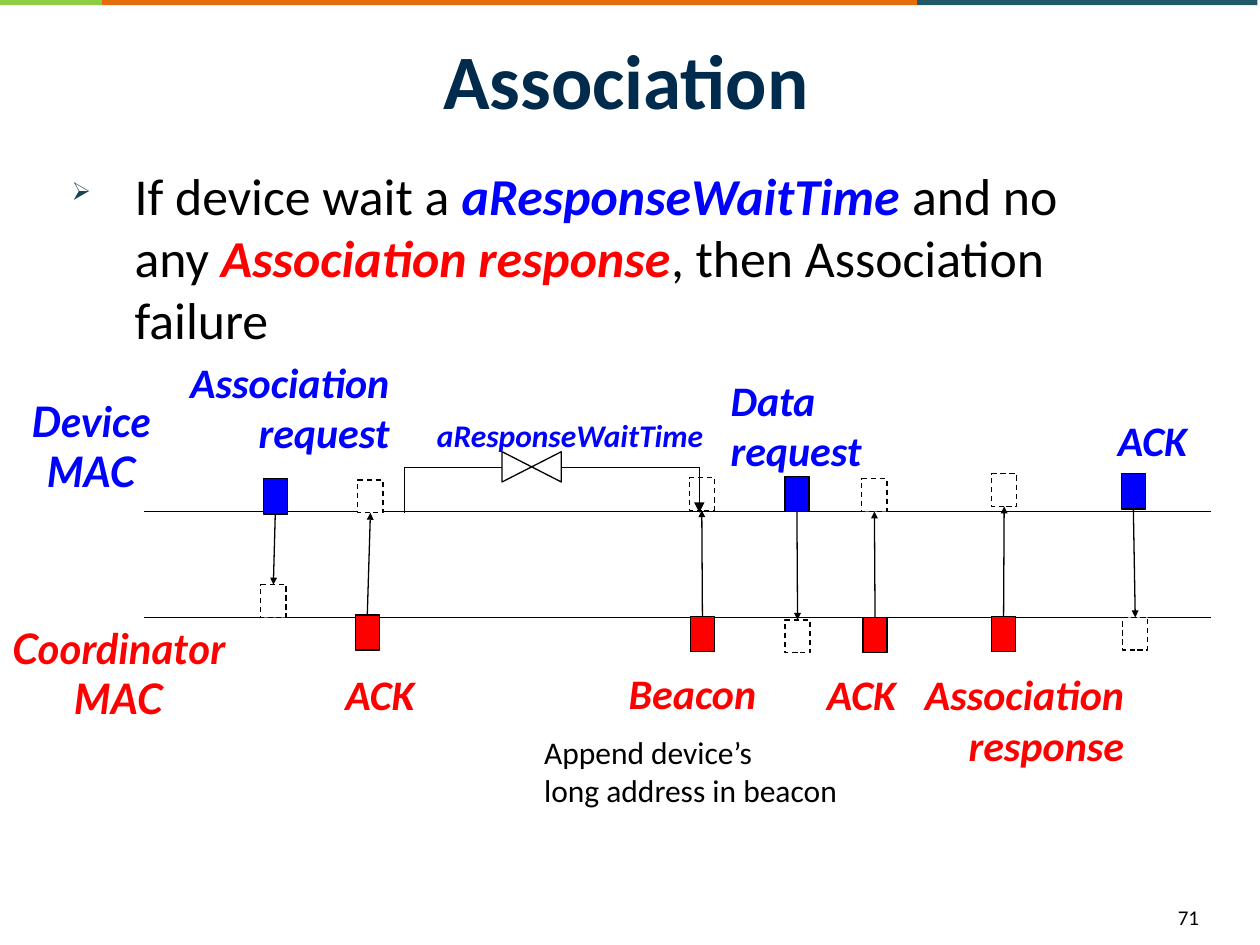
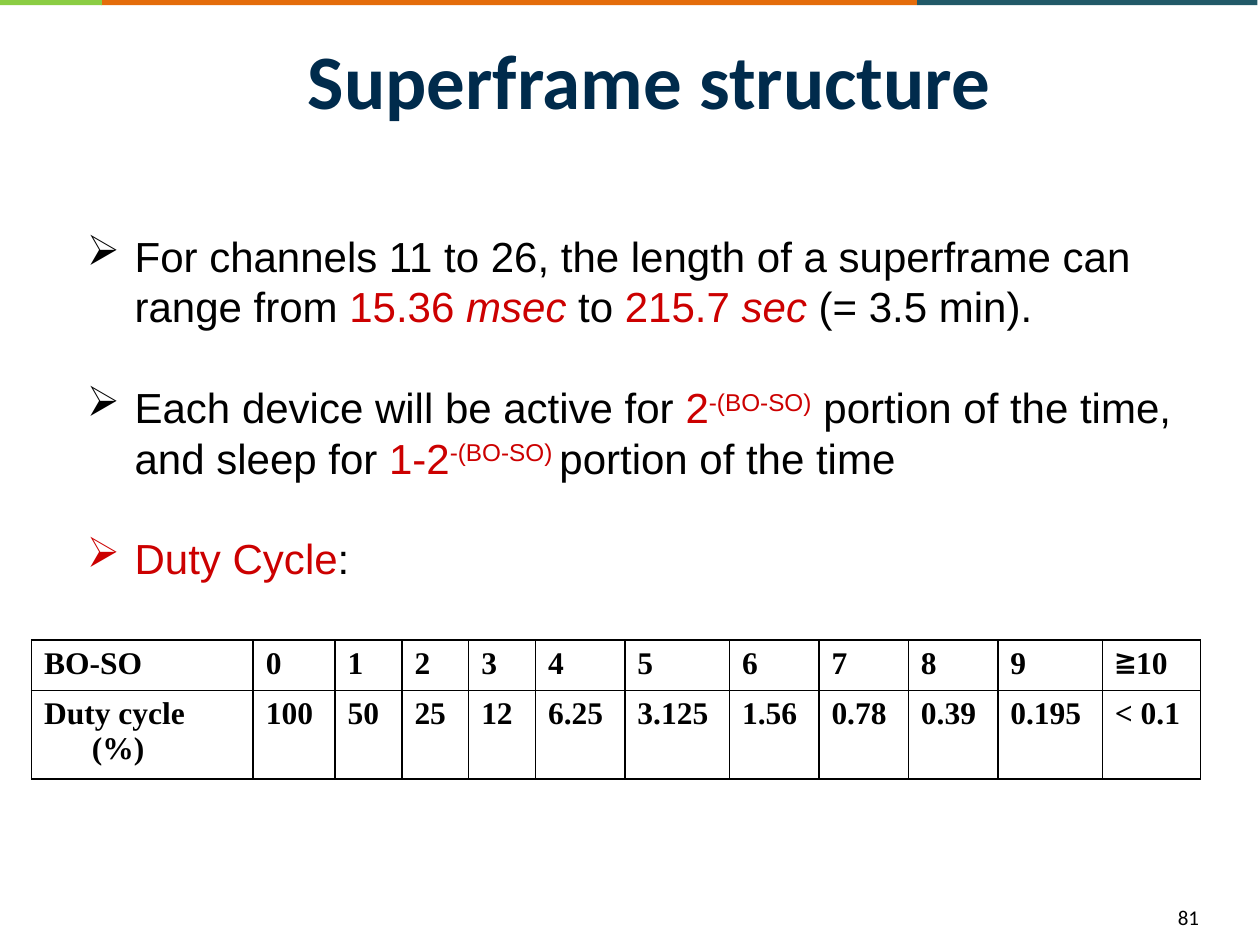
from lxml import etree
from pptx import Presentation
from pptx import util as u
from pptx.dml.color import RGBColor
from pptx.enum import dml, shapes, text
from pptx.oxml.ns import qn

COLORS = {"title": "002B4C", "black": "000000", "white": "FFFFFF",
          "blue": "0000FF", "red": "FF0000", "accent": "CC0000",
          "bullet": "19434F", "orange": "E46C0A", "teal": "215968", "green": "8BCD43"}
RGB = {name: RGBColor.from_string(value) for name, value in COLORS.items()}
ALIGN = {"l": text.PP_ALIGN.LEFT, "c": text.PP_ALIGN.CENTER, "r": text.PP_ALIGN.RIGHT}
BANDS = [(0.8, 6.48, "orange"), (7.28, 2.7, "teal"), (-0.05, 0.86, "green")]


def write(target, paras, box=None, size=24, font="Calibri", color="black", bold=False,
          italic=False, align="l", middle=False, indent=0, bullet=None, spacing=None, gap=0):
    """Fill a text frame, or a new text box on a slide when box is given.

    A paragraph is a string or a list of (text, format changes) runs.
    """
    tf = target
    if box:
        tf = target.shapes.add_textbox(*map(u.Inches, box)).text_frame
        tf.word_wrap = True
    if middle:
        tf.vertical_anchor = text.MSO_ANCHOR.MIDDLE
    for i, runs in enumerate(paras):
        p = tf.add_paragraph() if i else tf.paragraphs[0]
        p.alignment = ALIGN[align]
        pPr = p._p.get_or_add_pPr()
        if indent:
            pPr.set("marL", str(u.Inches(indent)))
            pPr.set("indent", str(-u.Inches(indent)))
        if bullet:
            if "color" in bullet:
                clr = etree.SubElement(pPr, qn("a:buClr"))
                etree.SubElement(clr, qn("a:srgbClr"), val=COLORS[bullet["color"]])
            etree.SubElement(pPr, qn("a:buSzPct"), val=str(bullet["percent"] * 1000))
            etree.SubElement(pPr, qn("a:buChar"), char="➢")
        if spacing:
            p.line_spacing = u.Pt(spacing)
        if i and gap:
            p.space_before = u.Pt(gap)
        for words, change in [(runs, {})] if isinstance(runs, str) else runs:
            r = p.add_run()
            r.text = words
            r.font.size, r.font.name = u.Pt(size), font
            r.font.bold = change.get("bold", bold)
            r.font.italic = change.get("italic", italic)
            r.font.color.rgb = RGB[change.get("color", color)]
            if "raised" in change:
                r._r.get_or_add_rPr().set("baseline", str(change["raised"] * 1000))


def connect(sl, start, end, head=None):
    """Draw a thin black line; an end is an (x, y) point or a (shape, site) pair."""
    joined = not isinstance(start[0], (int, float))
    points = (0, 0, 0, 0) if joined else map(u.Inches, (*start, *end))
    cx = sl.shapes.add_connector(shapes.MSO_CONNECTOR.STRAIGHT, *points)
    if joined:
        cx.begin_connect(*start)
        cx.end_connect(*end)
    cx.line.color.rgb, cx.line.width = RGB["black"], u.Pt(0.75)
    if head:
        etree.SubElement(cx.line._get_or_add_ln(), qn("a:tailEnd"),
                         type="triangle", w=head, len=head)
    etree.SubElement(cx._element.spPr, qn("a:effectLst"))


prs = Presentation()
prs.slide_width, prs.slide_height = u.Inches(10), u.Inches(7.5)

# Bands, title and number on every slide
slides = []
for title, title_width, number in [("Association", 9, "71"),
                                   ("Superframe structure", 9.37, "81")]:
    sl = prs.slides.add_slide(prs.slide_layouts[6])
    for x, width, color in BANDS:
        sp = sl.shapes.add_shape(shapes.MSO_SHAPE.RECTANGLE,
                                 *map(u.Inches, (x, -0.01, width, 0.05)))
        sp.shadow.inherit = False
        sp.fill.solid()
        sp.fill.fore_color.rgb = RGB[color]
        sp.line.fill.background()
    write(sl, [title], (0.47, 0, title_width, 1.25), size=44, color="title",
          bold=True, align="c", middle=True)
    write(sl, [number], (9.25, 7.13, 0.64, 0.4), size=12)
    slides.append(sl)
association, superframe = slides

# Association: rule and message sequence
strong = {"bold": True, "italic": True}
write(association, [[("If device wait a ", {}),
                     ("aResponseWaitTime ", {"color": "blue", **strong}),
                     ("and no any ", {}),
                     ("Association response", {"color": "red", **strong}),
                     (", then Association failure", {})]],
      (0.47, 1.25, 8.44, 1.32), size=29.6, indent=0.5,
      bullet={"color": "bullet", "percent": 48})

for y in (4.06, 4.9):
    connect(association, (1.14, y), (9.61, y))

# Sender colour, sent packet corner, received packet corner
messages = [("blue", (2.09, 3.8), (2.07, 4.64)),
            ("red", (2.82, 4.88), (2.84, 3.81)),
            ("red", (5.48, 4.89), (5.47, 3.79)),
            ("blue", (6.23, 3.78), (6.23, 4.92)),
            ("red", (6.85, 4.9), (6.84, 3.8)),
            ("red", (7.87, 4.89), (7.87, 3.76)),
            ("blue", (8.9, 3.76), (8.91, 4.9))]
for sender, sent_at, received_at in messages:
    packets = []
    for corner, size, color in [(sent_at, (0.19, 0.28), sender),
                                (received_at, (0.2, 0.26), "white")]:
        sp = association.shapes.add_shape(shapes.MSO_SHAPE.RECTANGLE,
                                          *map(u.Inches, corner + size))
        sp.shadow.inherit = False
        sp.fill.solid()
        sp.fill.fore_color.rgb = RGB[color]
        sp.line.color.rgb, sp.line.width = RGB["black"], u.Pt(0.75)
        packets.append(sp)
    sent, received = packets
    received.line.dash_style = dml.MSO_LINE.DASH
    out, into = (2, 0) if sender == "blue" else (0, 2)
    connect(association, (sent, out), (received, into), "sm")

# Waiting time bracket
for start, end, head in [((3.21, 4.07), (3.21, 3.71), None),
                         ((3.21, 3.71), (3.99, 3.71), None),
                         ((4.46, 3.71), (5.55, 3.71), None),
                         ((5.55, 3.71), (5.55, 4.07), "med")]:
    connect(association, start, end, head)
timer = association.shapes.add_shape(shapes.MSO_SHAPE.FLOWCHART_COLLATE,
                                     *map(u.Inches, (4.1, 3.47, 0.24, 0.47)))
timer.rotation = 270
timer.shadow.inherit = False
timer.fill.solid()
timer.fill.fore_color.rgb = RGB["white"]
timer.line.color.rgb, timer.line.width = RGB["black"], u.Pt(0.75)

for paras, box, color, align, font in [
        (["Coordinator MAC"], (-0.12, 4.89, 2.12, 0.91), "red", "c", "Lato"),
        (["Device", "MAC"], (0.1, 3.09, 1.25, 0.91), "blue", "c", "Lato"),
        (["Association request"], (1.16, 2.78, 2.03, 0.91), "blue", "r", "Calibri"),
        (["ACK"], (2.45, 5.26, 0.94, 0.51), "red", "r", "Calibri"),
        (["Data", "request"], (5.7, 2.92, 1.44, 0.91), "blue", "l", "Calibri"),
        (["ACK"], (6.27, 5.26, 0.94, 0.51), "red", "r", "Calibri"),
        (["Association response"], (7.14, 5.26, 1.88, 0.91), "red", "r", "Calibri"),
        (["ACK"], (8.58, 3.24, 0.94, 0.51), "blue", "r", "Calibri"),
        (["Beacon"], (4.69, 5.25, 1.41, 0.5), "red", "r", "Calibri")]:
    write(association, paras, box, color=color, align=align, font=font, **strong)
write(association, ["aResponseWaitTime"], (3.37, 3.25, 3.2, 0.4), size=18,
      color="blue", **strong)
write(association, ["Append device’s", "long address in beacon"],
      (4.22, 5.77, 2.81, 0.71), size=18)

# Superframe structure: facts and duty cycle table
accent = {"color": "accent"}
unit = {**accent, "italic": True}
power = {**accent, "raised": 30}
write(superframe, [
    [("For channels 11 to 26, the length of a superframe can range from ", {}),
     ("15.36 ", accent), ("msec", unit), (" to ", {}),
     ("215.7 ", accent), ("sec", unit), (" (= 3.5 min).", {})],
    [("Each device will be active for ", {}), ("2", accent), ("-(BO-SO)", power),
     (" portion of the time, and sleep for ", {}), ("1-2", accent),
     ("-(BO-SO) ", power), ("portion of the time", {})],
    [("Duty Cycle", accent), (":", {})]],
    (0.59, 1.78, 8.98, 2.93), font="Arial", indent=0.38, bullet={"percent": 100},
    spacing=28.8, gap=28.8)

rows = [["BO-SO", *map(str, range(10)), "≧10"],
        ["Duty cycle (%)", "100", "50", "25", "12", "6.25", "3.125", "1.56",
         "0.78", "0.39", "0.195", "< 0.1"]]
widths = [1.76, 0.65, 0.53, 0.53, 0.53, 0.71, 0.83, 0.71, 0.71, 0.71, 0.83, 0.78]
heights = [0.4, 0.7]
table = superframe.shapes.add_table(
    len(rows), len(widths),
    *map(u.Inches, (0.25, 5.08, sum(widths), sum(heights)))).table
table.first_row = table.horz_banding = False
for column, width in zip(table.columns, widths):
    column.width = u.Inches(width)
for row, height, values in zip(table.rows, heights, rows):
    row.height = u.Inches(height)
    for cell, value in zip(row.cells, values):
        write(cell.text_frame, [value], size=18, font="Times New Roman",
              bold=True, indent=0.38)
        tcPr = cell._tc.get_or_add_tcPr()
        for side in ("a:lnL", "a:lnR", "a:lnT", "a:lnB"):
            ln = etree.SubElement(tcPr, qn(side), w=str(u.Pt(1)))
            fill = etree.SubElement(ln, qn("a:solidFill"))
            etree.SubElement(fill, qn("a:srgbClr"), val=COLORS["black"])
        cell.fill.background()

prs.save("out.pptx")
